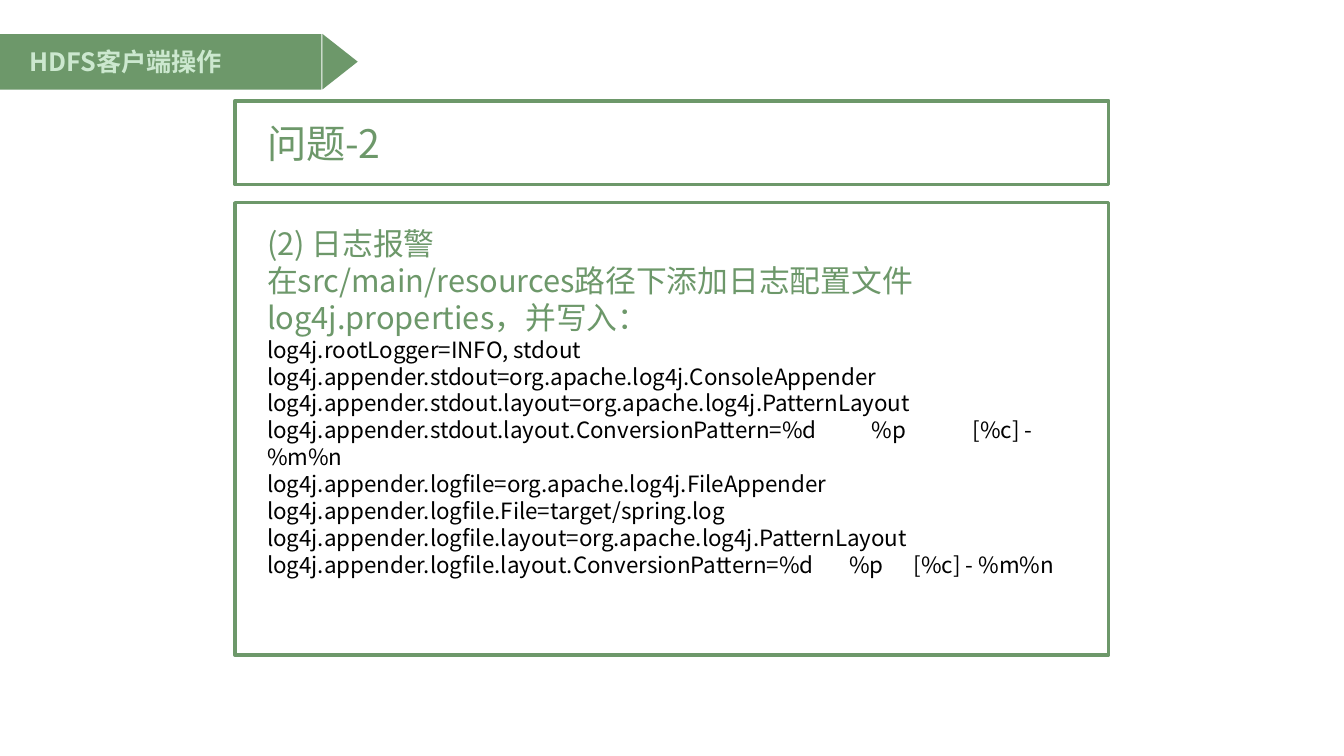
from pptx import Presentation
from pptx.dml.color import RGBColor
from pptx.enum.shapes import MSO_SHAPE as SHAPE
from pptx.enum.text import MSO_ANCHOR as ANCHOR
from pptx.oxml.ns import qn
from pptx.util import Cm, Pt
from lxml import etree

FONT = "Noto Sans CJK SC"
GREEN, PALE, BLACK = "6D986A", "CCE8CF", "000000"
SECTION = "HDFS客户端操作"
TITLE = "问题-2"
INTRO = [
    "(2) 日志报警",
    "在src/main/resources路径下添加日志配置文件log4j.properties，并写入：",
]
CONFIG = [
    ("log4j.rootLogger=INFO, stdout", ()),
    ("log4j.appender.stdout=org.apache.log4j.ConsoleAppender", ()),
    ("log4j.appender.stdout.layout=org.apache.log4j.PatternLayout", ()),
    ("log4j.appender.stdout.layout.ConversionPattern=%d\t%p\t[%c] - %m%n", (15.24, 17.78)),
    ("log4j.appender.logfile=org.apache.log4j.FileAppender", ()),
    ("log4j.appender.logfile.File=target/spring.log", ()),
    ("log4j.appender.logfile.layout=org.apache.log4j.PatternLayout", ()),
    ("log4j.appender.logfile.layout.ConversionPattern=%d\t%p\t[%c] - %m%n", (14.67, 16.3)),
]
FRAME_LEFT, FRAME_WIDTH = 5.92, 22.02
FRAMES = [(2.54, 2.11), (5.11, 11.4)]
TEXT_LEFT = 6.6


def rgb(value):
    return RGBColor.from_string(value)


def add_shape(s, kind, box, fill=None, line=None):
    sp = s.shapes.add_shape(kind, *map(Cm, box))
    sp.shadow.inherit = False
    if fill:
        sp.fill.solid()
        sp.fill.fore_color.rgb = rgb(fill)
    else:
        sp.fill.background()
    if line:
        sp.line.color.rgb = rgb(line)
        sp.line.width = Pt(2.5)
    else:
        sp.line.fill.background()
    return sp


def place(sp, box):
    sp.left, sp.top, sp.width, sp.height = map(Cm, box)


def setup(sp, anchor=ANCHOR.TOP):
    tf = sp.text_frame
    tf.word_wrap = True
    tf.vertical_anchor = anchor
    tf.margin_left = tf.margin_right = tf.margin_top = tf.margin_bottom = Cm(0.13)
    return tf


def add_run(p, text, size, color, bold=False):
    r = p.add_run()
    r.text = text
    r.font.size, r.font.bold, r.font.name = Pt(size), bold, FONT
    r.font.color.rgb = rgb(color)
    etree.SubElement(r.font._element, qn("a:ea")).set("typeface", FONT)


def add_tabs(p, stops):
    tabs = etree.SubElement(p._p.get_or_add_pPr(), qn("a:tabLst"))
    for stop in stops:
        tab = etree.SubElement(tabs, qn("a:tab"))
        tab.set("pos", str(Cm(stop)))
        tab.set("algn", "l")


def main():
    prs = Presentation()
    prs.slide_width, prs.slide_height = Cm(33.87), Cm(19.05)
    s = prs.slides.add_slide(prs.slide_layouts[5])

    add_shape(s, SHAPE.RECTANGLE, (-0.03, 0.86, 8.13, 1.4), fill=GREEN)
    tip = add_shape(s, SHAPE.ISOSCELES_TRIANGLE, (7.87, 1.11, 1.4, 0.89), fill=GREEN)
    tip.rotation = 90
    section = s.shapes.add_textbox(*map(Cm, (0.61, 1.04, 6.88, 1.02)))
    add_run(setup(section, ANCHOR.MIDDLE).paragraphs[0], SECTION, 18, PALE, True)

    for top, height in FRAMES:
        add_shape(s, SHAPE.RECTANGLE, (FRAME_LEFT, top, FRAME_WIDTH, height), line=GREEN)

    title = s.shapes.title
    place(title, (TEXT_LEFT, 2.87, 17.45, 1.45))
    p = setup(title).paragraphs[0]
    p.alignment = 1
    add_run(p, TITLE, 28, GREEN)

    body = s.shapes.add_textbox(*map(Cm, (TEXT_LEFT, 5.54, 20.8, 9.9)))
    tf = setup(body)
    lines = [(text, (), 22, GREEN) for text in INTRO]
    lines += [(text, stops, 16, BLACK) for text, stops in CONFIG]
    for i, (text, stops, size, color) in enumerate(lines):
        p = tf.add_paragraph() if i else tf.paragraphs[0]
        if stops:
            add_tabs(p, stops)
        add_run(p, text, size, color)

    prs.save("out.pptx")


if __name__ == "__main__":
    main()
